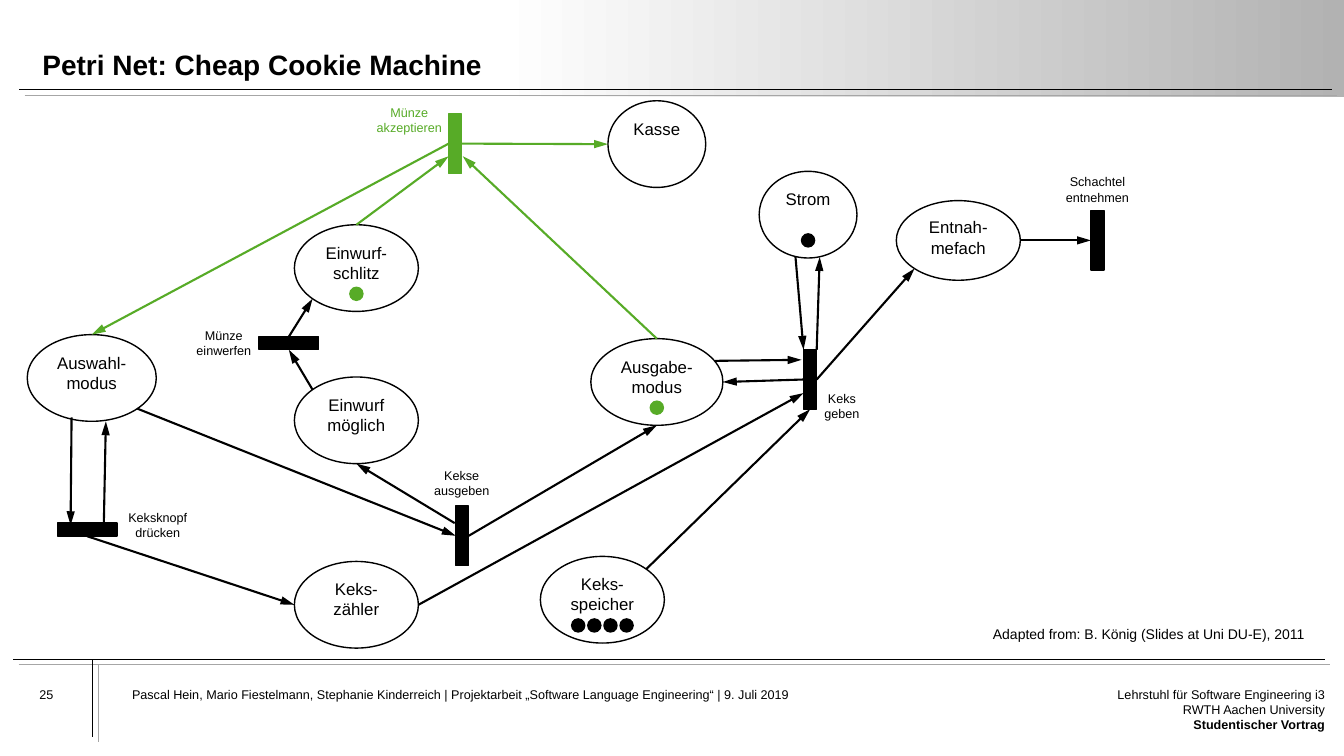
from math import sqrt

from lxml import etree
from pptx import Presentation
from pptx.dml.color import RGBColor
from pptx.enum.shapes import MSO_CONNECTOR, MSO_SHAPE
from pptx.enum.text import MSO_ANCHOR, MSO_AUTO_SIZE, PP_ALIGN
from pptx.oxml.ns import qn
from pptx.util import Inches, Pt

STRAIGHT = MSO_CONNECTOR.STRAIGHT
RECTANGLE, ELLIPSE = MSO_SHAPE.RECTANGLE, MSO_SHAPE.OVAL
TOP, BOTTOM = MSO_ANCHOR.TOP, MSO_ANCHOR.BOTTOM
LEFT, CENTER, RIGHT = PP_ALIGN.LEFT, PP_ALIGN.CENTER, PP_ALIGN.RIGHT
NO_AUTOSIZE = MSO_AUTO_SIZE.NONE

TITLE = "Petri Net: Cheap Cookie Machine"
TITLE_BOX = (0.42, 0.22, 12.56, 0.59)
HEADER_BAND = (4.93, 0, 8.41, 0.96)
RULES = [
    ((0.19, 0.89), (13.21, 0.89)),
    ((0.13, 6.54), (13.14, 6.54)),
    ((0.92, 6.54), (0.92, 7.31)),
]
RULE_SHADOW_OFFSET = 0.055
FOOTERS = [
    ("25", (0.39, 6.81, 0.8, 0.43), LEFT),
    ("Pascal Hein, Mario Fiestelmann, Stephanie Kinderreich | Projektarbeit "
     "„Software Language Engineering“ | 9. Juli 2019", (1.31, 6.81, 7.66, 0.69), LEFT),
]
AFFILIATION = "Lehrstuhl für Software Engineering i3\nRWTH Aachen University\nStudentischer Vortrag"
AFFILIATION_BOX = (10.99, 6.81, 2.15, 0.69)
CREDIT = "Adapted from: B. König (Slides at Uni DU-E), 2011"
CREDIT_BOX = (9.75, 6.16, 3.33, 0.27)

PLACES = {
    "Auswahlmodus": ("Auswahl-modus", (0.27, 3.32, 1.28, 0.86)),
    "Einwurfschlitz": ("Einwurf-schlitz", (2.92, 2.23, 1.23, 0.86)),
    "Kasse": ("Kasse", (6.03, 1, 0.97, 0.86)),
    "Kekszähler": ("Keks-\nzähler", (2.92, 5.57, 1.23, 0.86)),
    "Entnahmefach": ("Entnah-mefach", (8.89, 1.99, 1.23, 0.79)),
    "Ausgabemodus": ("Ausgabe-modus", (5.86, 3.36, 1.31, 0.86)),
    "Keksspeicher": ("Keks-speicher", (5.36, 5.52, 1.23, 0.86)),
    "Strom": ("Strom", (7.53, 1.7, 0.97, 0.86)),
    "Einwurf möglich": ("Einwurf möglich", (2.92, 3.74, 1.23, 0.86)),
}
TOKENS = {
    "Ausgabemodus": (1, "active"),
    "Einwurfschlitz": (1, "active"),
    "Keksspeicher": (4, "normal"),
    "Strom": (1, "normal"),
}
TOKEN_SIZE, TOKEN_PITCH, TOKEN_DROP = 0.13, 0.16, 0.62

UPRIGHT, FLAT = (0.13, 0.59), (0.59, 0.13)
TRANSITIONS = {
    "Münze akzeptieren": ((4.45, 1.13), UPRIGHT, (3.63, 0.99, 0.86, 0.4), "active"),
    "Münze einwerfen": ((2.57, 3.34), FLAT, (1.79, 3.2, 0.86, 0.4), "normal"),
    "Kekse ausgeben": ((4.52, 5.02), UPRIGHT, (4.15, 4.59, 0.86, 0.4), "normal"),
    "Keksknopf drücken": ((0.57, 5.19), FLAT, (1.15, 5.01, 0.83, 0.4), "normal"),
    "Keks geben": ((7.97, 3.47), UPRIGHT, (7.97, 3.83, 0.76, 0.4), "normal"),
    "Schachtel entnehmen": ((10.82, 2.09), UPRIGHT, (10.4, 1.68, 0.97, 0.4), "normal"),
}
ARCS = {
    "active": [
        (("Münze akzeptieren", "left"), ("Auswahlmodus", "top")),
        (("Ausgabemodus", "top"), (4.59, 1.55)),
        (("Einwurfschlitz", "top"), (4.45, 1.55)),
        (("Münze akzeptieren", "right"), ("Kasse", "left")),
    ],
    "normal": [
        (("Entnahmefach", "right"), ("Schachtel entnehmen", "left")),
        (("Kekse ausgeben", "right"), ("Ausgabemodus", "bottom")),
        (("Auswahlmodus", "bottom right"), ("Kekse ausgeben", "left")),
        (("Einwurf möglich", "top left"), ("Münze einwerfen", "bottom")),
        (("Münze einwerfen", "top"), ("Einwurfschlitz", "bottom left")),
        ((4.51, 5.19), ("Einwurf möglich", "bottom")),
        ((0.71, 4.14), (0.7, 5.21)),
        ((1.03, 5.19), (1.05, 4.18)),
        (("Keksknopf drücken", "bottom"), ("Kekszähler", "left")),
        ((7.89, 2.55), (7.97, 3.47)),
        ((8.1, 3.47), (8.13, 2.55)),
        ((7.09, 3.58), (7.95, 3.57)),
        (("Keks geben", "left"), ("Ausgabemodus", "right")),
        (("Kekszähler", "right"), (7.97, 3.9)),
        (("Keksspeicher", "top right"), ("Keks geben", "bottom")),
        (("Keks geben", "right"), ("Entnahmefach", "bottom left")),
    ],
}
SITES = {"top": 0, "left": 1, "bottom": 2, "right": 3}
DIRECTIONS = {"top": (0, -1), "left": (-1, 0), "bottom": (0, 1), "right": (1, 0)}

THEME = {
    "font": "Arial",
    "normal": RGBColor(0, 0, 0),
    "active": RGBColor(0x57, 0xAB, 0x27),
    "rule shadow": RGBColor(0xA6, 0xA6, 0xA6),
    "band": (RGBColor(0xFF, 0xFF, 0xFF), RGBColor(0xB2, 0xB2, 0xB2)),
    "title": Pt(20),
    "place": Pt(12),
    "credit": Pt(10),
    "small": Pt(9),
    "outline": Pt(1),
    "arc": Pt(1.5),
    "rule": Pt(0.5),
}


def inches(values):
    return [Inches(value) for value in values]


def write(shape, text, size, color="normal", align=CENTER, inset=(0.1, 0.05),
          bold=False, anchor=TOP, wrap=True):
    frame = shape.text_frame
    across, down = inches(inset)
    frame_format = {
        "text": text, "word_wrap": wrap, "auto_size": NO_AUTOSIZE, "vertical_anchor": anchor,
        "margin_left": across, "margin_right": across, "margin_top": down, "margin_bottom": down,
    }
    for name, value in frame_format.items():
        setattr(frame, name, value)
    for paragraph in frame.paragraphs:
        paragraph.alignment = align
        for run in paragraph.runs:
            run.font.color.rgb = THEME[color]
            for name, value in {"name": THEME["font"], "size": THEME[size], "bold": bold}.items():
                setattr(run.font, name, value)
    return frame


def add_text(slide, text, box, size, **options):
    return write(slide.shapes.add_textbox(*inches(box)), text, size, **options)


def add_outline(slide, kind, box, color, filled):
    shape = slide.shapes.add_shape(kind, *inches(box))
    shape.shadow.inherit = False
    if filled:
        shape.fill.solid()
        shape.fill.fore_color.rgb = THEME[color]
    else:
        shape.fill.background()
    shape.line.color.rgb = THEME[color]
    shape.line.width = THEME["outline"]
    return shape


def add_line(slide, start, end, color, width):
    line = slide.shapes.add_connector(STRAIGHT, *inches(start + end))
    line.line.color.rgb = THEME[color]
    line.line.width = THEME[width]
    etree.SubElement(line.element.spPr, qn("a:effectLst"))
    return line


def locate(end, boxes):
    if end[0] not in boxes:
        return end
    left, top, width, height = boxes[end[0]]
    sides = [DIRECTIONS[word] for word in end[1].split()]
    x, y = (sum(parts) / sqrt(len(sides)) for parts in zip(*sides))
    return left + width / 2 * (1 + x), top + height / 2 * (1 + y)


def add_header_and_footer(slide):
    band = slide.shapes.add_shape(RECTANGLE, *inches(HEADER_BAND))
    band.shadow.inherit = False
    band.line.fill.background()
    band.fill.gradient()
    band.fill.gradient_angle = 0
    for stop, color, position in zip(band.fill.gradient_stops, THEME["band"], (0, 1)):
        stop.color.rgb = color
        stop.position = position
    for start, end in RULES:
        add_line(slide, start, end, "normal", "rule")
        shifted = [tuple(value + RULE_SHADOW_OFFSET for value in point) for point in (start, end)]
        add_line(slide, *shifted, "rule shadow", "rule")
    for text, box, align in FOOTERS:
        add_text(slide, text, box, "small", align=align, inset=(0, 0))
    frame = add_text(slide, AFFILIATION, AFFILIATION_BOX, "small", align=RIGHT, inset=(0, 0))
    frame.paragraphs[-1].runs[0].font.bold = True

    title = slide.shapes.title
    title.left, title.top, title.width, title.height = inches(TITLE_BOX)
    frame = write(title, TITLE, "title", align=LEFT, inset=(0, 0), bold=True, anchor=BOTTOM)
    frame.paragraphs[0].line_spacing = 0.9
    slide.shapes.element.append(title.element)


def add_petri_net(slide):
    boxes, bars = {}, {}
    for name, (label, box) in PLACES.items():
        boxes[name] = box
        write(add_outline(slide, ELLIPSE, box, "normal", False), label, "place", inset=(0.08, 0.05))
    for name, (corner, size, label_box, color) in TRANSITIONS.items():
        boxes[name] = corner + size
        bars[name] = add_outline(slide, RECTANGLE, boxes[name], color, True)
        add_text(slide, name, label_box, "small", color=color)
    for color, arcs in ARCS.items():
        for start, end in arcs:
            arc = add_line(slide, locate(start, boxes), locate(end, boxes), color, "arc")
            etree.SubElement(arc.line._get_or_add_ln(), qn("a:tailEnd"),
                             type="triangle", w="med", len="lg")
            for point, connect in ((start, arc.begin_connect), (end, arc.end_connect)):
                if point[0] in bars:
                    connect(bars[point[0]], SITES[point[1]])
    for name, (count, color) in TOKENS.items():
        left, top, width, height = boxes[name]
        first = left + (width - TOKEN_SIZE - (count - 1) * TOKEN_PITCH) / 2
        for index in range(count):
            box = (first + index * TOKEN_PITCH, top + TOKEN_DROP, TOKEN_SIZE, TOKEN_SIZE)
            add_outline(slide, ELLIPSE, box, color, True)


def main():
    presentation = Presentation()
    presentation.slide_width, presentation.slide_height = inches((13.33, 7.5))
    slide = presentation.slides.add_slide(presentation.slide_layouts[5])
    add_header_and_footer(slide)
    add_petri_net(slide)
    add_text(slide, CREDIT, CREDIT_BOX, "credit", align=LEFT, wrap=False)
    presentation.save("out.pptx")


if __name__ == "__main__":
    main()
